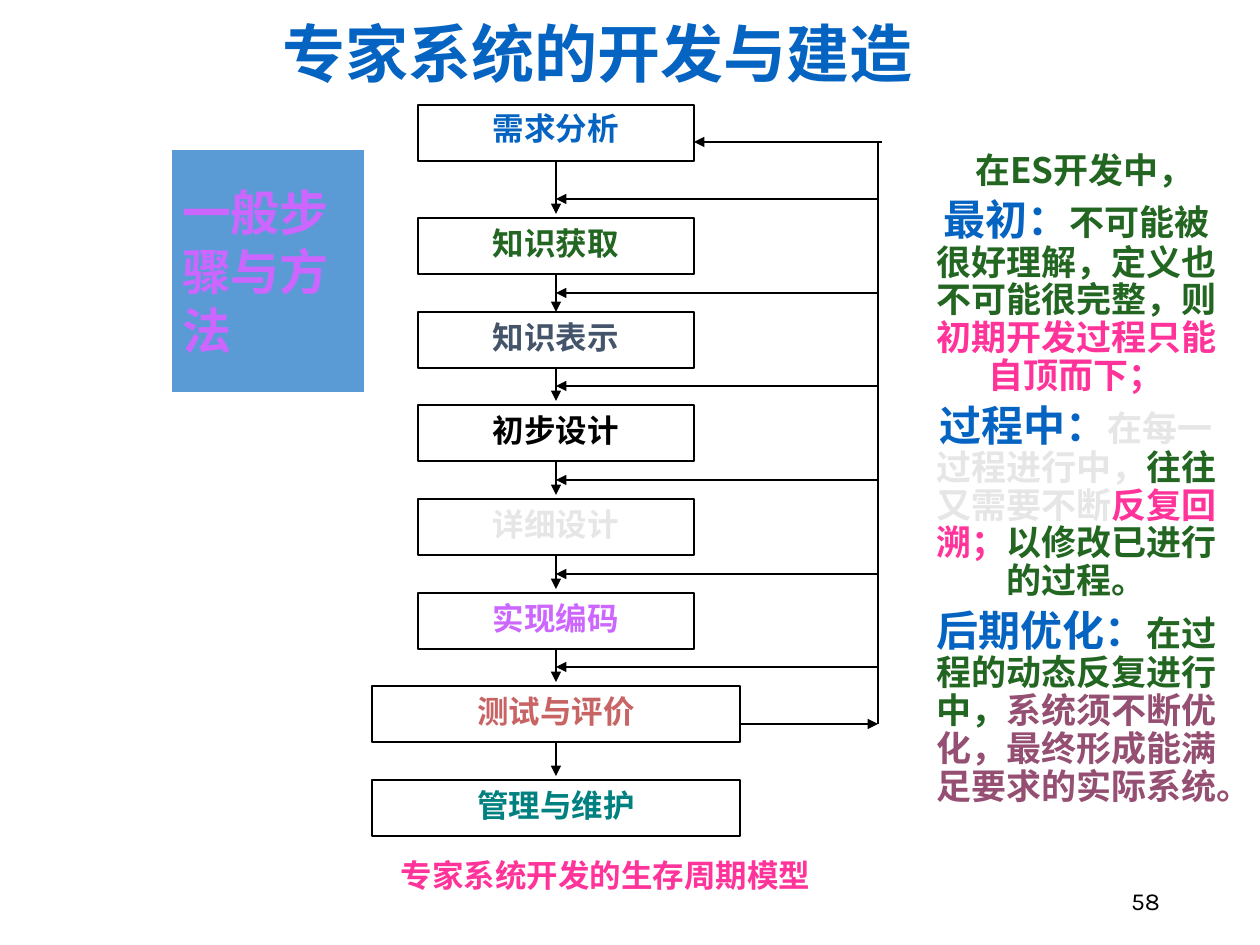
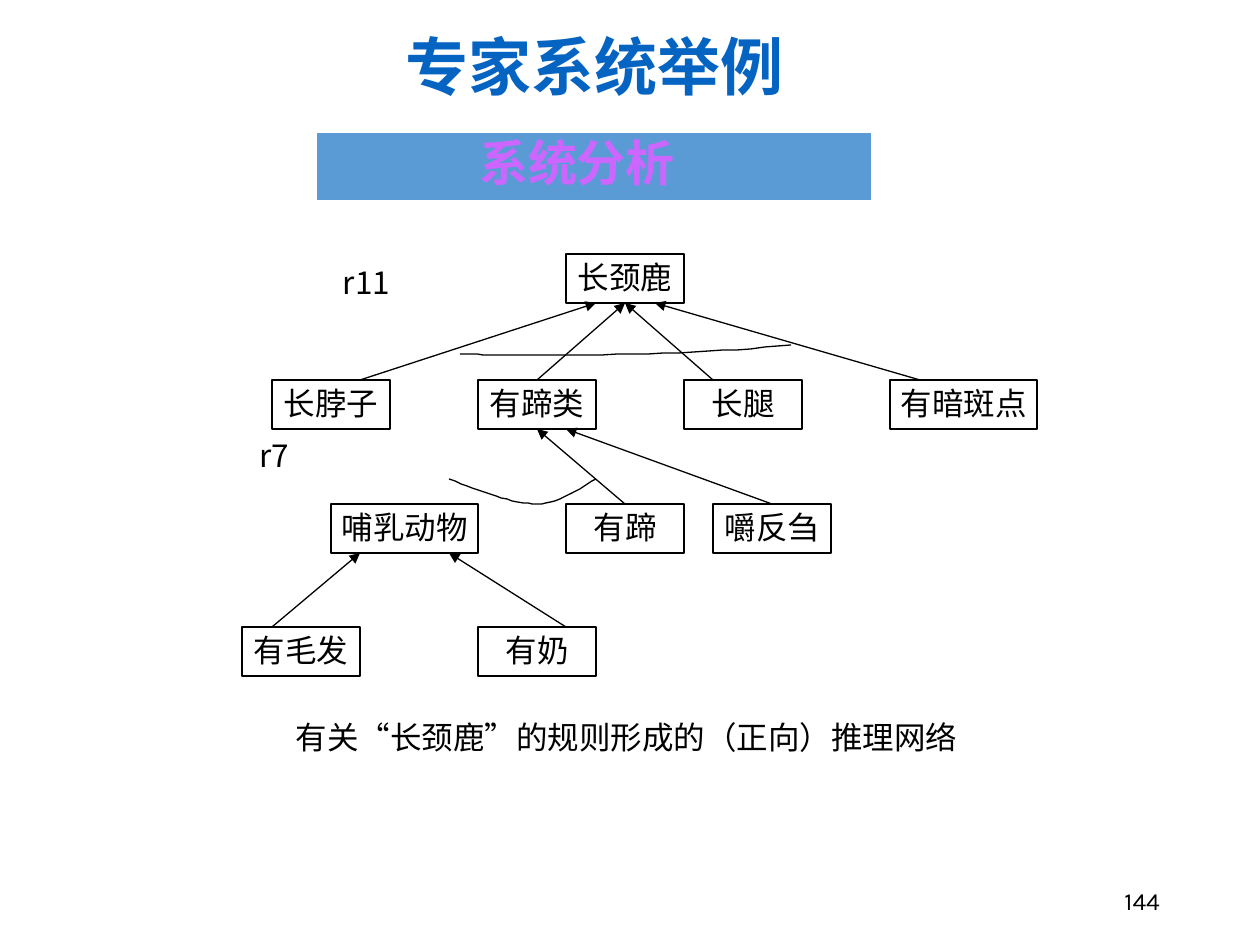
import pptx
import pptx.dml.color
import pptx.enum.shapes
import pptx.enum.text
import pptx.oxml
import pptx.oxml.ns
import pptx.util

PX = 914400 / 126  # EMU in one px
SHAPE = pptx.enum.shapes.MSO_SHAPE.RECTANGLE
STRAIGHT = pptx.enum.shapes.MSO_CONNECTOR.STRAIGHT
ALIGN = pptx.enum.text.PP_ALIGN
ANCHOR = pptx.enum.text.MSO_ANCHOR
HEI, TIMES, KARLA = "Noto Sans CJK SC", "Times New Roman", "Karla"
COLORS = {
    "black": "000000", "white": "FFFFFF", "band": "5B9BD5", "blue": "0563C1",
    "violet": "CC66FF", "green": "226622", "slate": "44546A", "pale": "E7E6E6",
    "brick": "C86464", "teal": "008080", "pink": "FF3399", "plum": "954F72",
}
INSETS = (13, 6, 13, 6)
NODE_INSETS = (0, 4, 0, 4)

# Content: life cycle of an expert system
STEPS = [
    ("需求分析", "blue"), ("知识获取", "green"), ("知识表示", "slate"),
    ("初步设计", "black"), ("详细设计", "pale"), ("实现编码", "violet"),
    ("测试与评价", "brick"), ("管理与维护", "teal"),
]
NOTES = [
    [("在ES开发中，", 20, "green")],
    [("最初：", 24, "blue"),
     ("不可能被很好理解，定义也不可能很完整，则", 20, "green"),
     ("初期开发过程只能自顶而下；", 20, "pink")],
    [("过程中：", 24, "blue"), ("在每一过程进行中，", 20, "pale"),
     ("往往", 20, "green"), ("又需要不断", 20, "pale"),
     ("反复回溯；", 20, "pink"), ("以修改已进行的过程。", 20, "green")],
    [("后期优化：", 24, "blue"), ("在过程的动态反复进行中，", 20, "green"),
     ("系统须不断优化，最终形成能满足要求的实际系统。", 20, "plum")],
]

# Content: inference network, as name -> (left, row)
ROWS = [254, 380, 504, 627]
FACTS = {
    "长颈鹿": (566, 0),
    "长脖子": (272, 1), "有蹄类": (478, 1), "长腿": (684, 1), "有暗斑点": (890, 1),
    "哺乳动物": (331, 2), "有蹄": (566, 2), "嚼反刍": (713, 2),
    "有毛发": (242, 3), "有奶": (478, 3),
}
# premise, x where it leaves, conclusion, x where it arrives
INFERENCES = [
    ("长脖子", 360, "长颈鹿", 596), ("有蹄类", 537, "长颈鹿", 625),
    ("长腿", 713, "长颈鹿", 625), ("有暗斑点", 920, "长颈鹿", 655),
    ("有蹄", 625, "有蹄类", 537), ("嚼反刍", 772, "有蹄类", 566),
    ("有毛发", 272, "哺乳动物", 360), ("有奶", 566, "哺乳动物", 449),
]
# start point, then control, control, end for each piece
AND_ARCS = [
    [(460, 354), (490, 355), (523, 355), (554, 355), (640, 355), (723, 352), (791, 345)],
    [(449, 479), (480, 491), (513, 504), (537, 504), (562, 504), (586, 483), (596, 479)],
]
RULE_LABELS = [("r11", (331, 263, 59, 43), 0), ("r7", (213, 430, 76, 58), 6)]
NETWORK_CAPTION = [
    ("有关", HEI), ("“", TIMES), ("长颈鹿", HEI), ("”", TIMES),
    ("的规则形成的（正向）推理网络", HEI),
]


def emu(px):
    return pptx.util.Emu(round(px * PX))


def rgb(name):
    return pptx.dml.color.RGBColor.from_string(COLORS[name])


def assign(target, values):
    for key, value in values.items():
        setattr(target, key, value)


def place(shape, at):
    assign(shape, dict(zip(("left", "top", "width", "height"), map(emu, at))))


def run(text, size, color="black", font=HEI, bold=False):
    return text, size, color, font, bold


def write(shape, paragraphs, align=ALIGN.LEFT, anchor=ANCHOR.TOP,
          insets=INSETS, spacing=1.0, before=0):
    """Fill a shape with paragraphs, each a list of runs."""
    frame = shape.text_frame
    sides = ("margin_left", "margin_top", "margin_right", "margin_bottom")
    assign(frame, {"word_wrap": True, "vertical_anchor": anchor,
                   "auto_size": pptx.enum.text.MSO_AUTO_SIZE.NONE,
                   **dict(zip(sides, map(emu, insets)))})
    for index, runs in enumerate(paragraphs):
        paragraph = frame.add_paragraph() if index else frame.paragraphs[0]
        assign(paragraph, {"alignment": align, "line_spacing": spacing,
                           "space_before": pptx.util.Pt(before if index else 0)})
        for text, size, color, font, bold in runs:
            piece = paragraph.add_run()
            piece.text = text
            assign(piece.font, {"name": font, "size": pptx.util.Pt(size), "bold": bold})
            piece.font.color.rgb = rgb(color)
            east = pptx.oxml.parse_xml(
                f'<a:ea {pptx.oxml.ns.nsdecls("a")} typeface="{HEI}"/>')
            piece.font._element.append(east)


def text_box(slide, at, runs, **layout):
    box = slide.shapes.add_textbox(*map(emu, at))
    write(box, [runs], **layout)


def rectangle(slide, at, runs, fill="white", line="black", weight=0.75, **layout):
    box = slide.shapes.add_shape(SHAPE, *map(emu, at))
    box.shadow.inherit = False
    box.fill.solid()
    box.fill.fore_color.rgb = rgb(fill)
    box.line.color.rgb = rgb(line)
    box.line.width = pptx.util.Pt(weight)
    write(box, [runs], **layout)
    return box


def link(slide, start, end, source=None, target=None, arrow=True):
    """Draw a line; source and target are (shape, side) joints."""
    line = slide.shapes.add_connector(STRAIGHT, *map(emu, start + end))
    if source:
        line.begin_connect(*source)
    if target:
        line.end_connect(*target)
    line.line.color.rgb = rgb("black")
    line.line.width = pptx.util.Pt(0.75)
    namespace = pptx.oxml.ns.nsdecls("a")
    properties = line._element.spPr
    if arrow:
        properties.find(pptx.oxml.ns.qn("a:ln")).append(
            pptx.oxml.parse_xml(f'<a:tailEnd {namespace} type="triangle"/>'))
    properties.append(pptx.oxml.parse_xml(f"<a:effectLst {namespace}/>"))


def arc(slide, points):
    """Trace joined cubic curves as one open outline."""
    traced = []
    for first in range(0, len(points) - 1, 3):
        a, b, c, d = points[first:first + 4]
        for step in range(1, 17):
            t = step / 16
            u = 1 - t
            traced.append(tuple(
                u ** 3 * a[k] + 3 * u * u * t * b[k] + 3 * u * t * t * c[k] + t ** 3 * d[k]
                for k in (0, 1)))
    builder = slide.shapes.build_freeform(*points[0], scale=PX)
    builder.add_line_segments(traced, close=False)
    curve = builder.convert_to_shape()
    curve.shadow.inherit = False
    curve.fill.background()
    curve.line.color.rgb = rgb("black")
    curve.line.width = pptx.util.Pt(0.75)


def new_slide(deck, layout, title, at, number, insets=INSETS):
    """Add a slide with the shared title style and page number."""
    slide = deck.slides.add_slide(deck.slide_layouts[layout])
    place(slide.shapes.title, at)
    write(slide.shapes.title, [[run(title, 36, "blue", bold=True)]],
          align=ALIGN.CENTER, anchor=ANCHOR.BOTTOM, insets=insets)
    text_box(slide, (890, 876, 283, 50), [run(number, 14, font=KARLA)],
             align=ALIGN.RIGHT, anchor=ANCHOR.MIDDLE)
    return slide


def life_cycle(deck):
    slide = new_slide(deck, 1, "专家系统的开发与建造", (144, -4, 907, 100), "58")
    rectangle(slide, (169, 147, 198, 248), [run("一般步骤与方法", 28, "violet", bold=True)],
              fill="band", line="white", weight=3, anchor=ANCHOR.MIDDLE)

    # Steps: the first stands apart, the others are evenly spaced
    axis, rail, height, pitch = 556, 878, 56, 93.67
    tops = [105] + [round(218 + pitch * i) for i in range(len(STEPS) - 1)]
    boxes = []
    for index, ((name, color), top) in enumerate(zip(STEPS, tops)):
        width = 276 if len(name) == 4 else 368
        boxes.append(rectangle(
            slide, (axis - width // 2, top, width, height),
            [run(name, 18, color, TIMES, True)], align=ALIGN.CENTER,
            spacing=1.0 if index else 0.96))

    # Way down, and the way back into each gap
    for index, top in enumerate(tops[1:]):
        touching = index == 1
        link(slide, (axis, tops[index] + height), (axis, top - 4),
             (boxes[index], 2), (boxes[index + 1], 0) if touching else None)
        if index < len(tops) - 2:
            link(slide, (rail, top - 19), (axis, top - 19))
    link(slide, (740, 724), (rail, 724))
    link(slide, (rail, 724), (rail, 142), arrow=False)
    link(slide, (882, 142), (694, 142))
    text_box(slide, (388, 850, 582, 76),
             [run("专家系统开发的生存周期模型", 18, "pink", bold=True)])

    # Notes
    notes = slide.placeholders[1]
    place(notes, (914, 147, 325, 667))
    write(notes, [[run(*part, bold=True) for part in note] for note in NOTES],
          align=ALIGN.CENTER, spacing=0.9, before=5)
    for index, paragraph in enumerate(notes.text_frame.paragraphs):
        properties = paragraph._p.get_or_add_pPr()
        properties.set("marL", str(0 if index else emu(16)))
        properties.set("indent", "0")
        properties.append(pptx.oxml.parse_xml(f'<a:buNone {pptx.oxml.ns.nsdecls("a")}/>'))


def inference_network(deck):
    slide = new_slide(deck, 5, "专家系统举例", (242, 11, 725, 100), "144",
                      insets=(13, 6, 33, 8))
    rectangle(slide, (316, 132, 556, 69), [run("系统分析", 28, "violet", bold=True)],
              fill="band", line="white", align=ALIGN.CENTER, anchor=ANCHOR.BOTTOM,
              insets=(13, 6, 47, 10))

    # Facts
    height, boxes, middles = 49, {}, {}
    for name, (left, row) in FACTS.items():
        width = 147 if len(name) == 4 else 118
        middles[name] = left + width // 2
        boxes[name] = rectangle(slide, (left, ROWS[row], width, height),
                                [run(name, 18, font=TIMES)],
                                align=ALIGN.CENTER, insets=NODE_INSETS)

    # Inferences, joined where they meet the middle of a side
    for premise, x1, conclusion, x2 in INFERENCES:
        link(slide, (x1, ROWS[FACTS[premise][1]]),
             (x2, ROWS[FACTS[conclusion][1]] + height),
             (boxes[premise], 0) if x1 == middles[premise] else None,
             (boxes[conclusion], 2) if x2 == middles[conclusion] else None)
    for points in AND_ARCS:
        arc(slide, points)

    # Rule labels and caption
    for label, at, inset in RULE_LABELS:
        text_box(slide, at, [run(label, 18)], align=ALIGN.RIGHT,
                 insets=(0, inset, 0, inset))
    text_box(slide, (283, 701, 880, 74),
             [run(text, 18, font=font) for text, font in NETWORK_CAPTION], spacing=1.28)


def main():
    deck = pptx.Presentation()
    deck.slide_width, deck.slide_height = emu(1260), emu(945)
    life_cycle(deck)
    inference_network(deck)
    deck.save("out.pptx")


if __name__ == "__main__":
    main()
